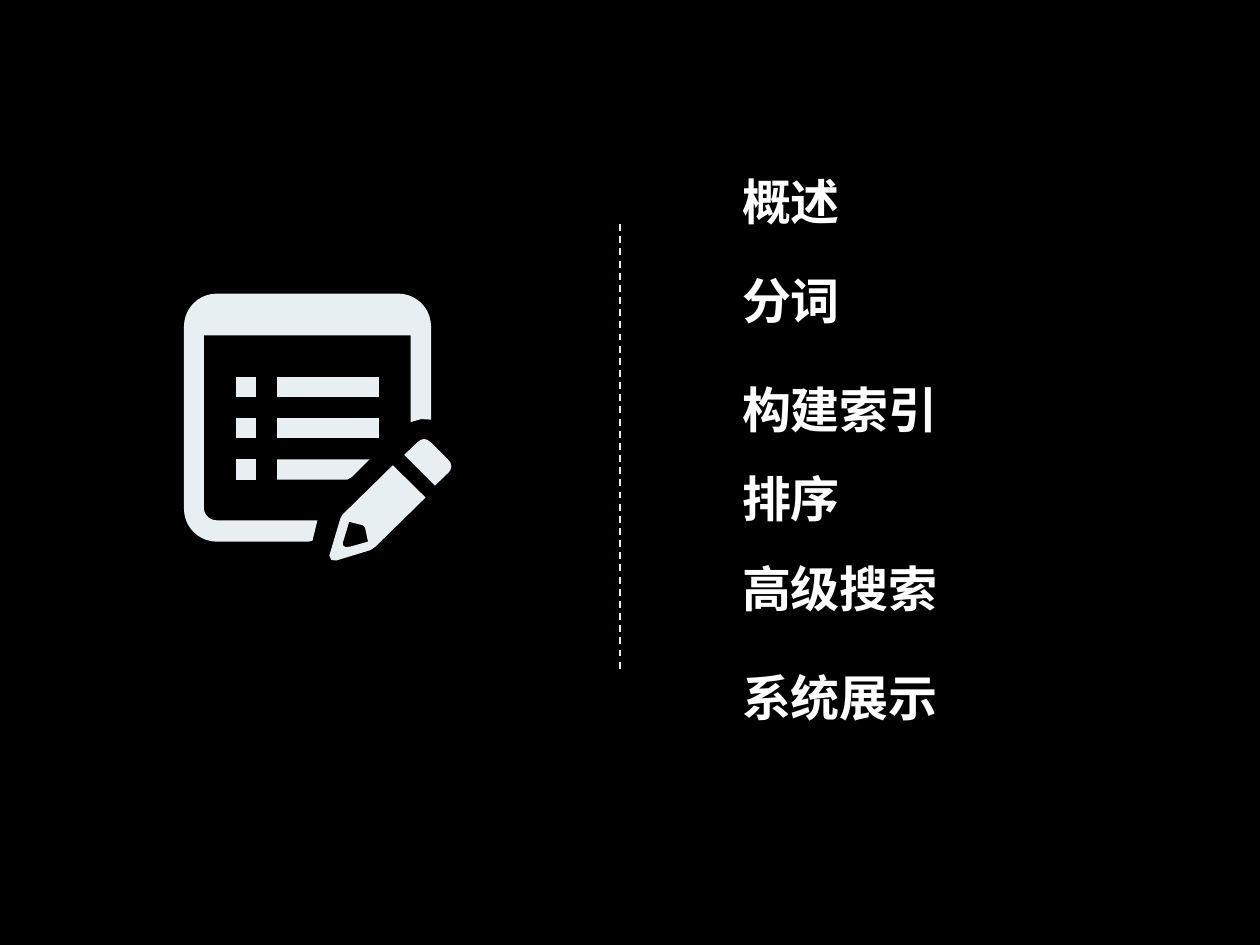
from dataclasses import dataclass
from math import cos, radians, sin

from lxml.etree import SubElement
from pptx import Presentation
from pptx.dml.color import RGBColor as Rgb
from pptx.enum.dml import MSO_LINE as Dash
from pptx.enum.shapes import MSO_CONNECTOR as Link
from pptx.enum.text import MSO_AUTO_SIZE as Fit
from pptx.oxml.ns import qn
from pptx.util import Cm, Pt


@dataclass(frozen=True)
class Theme:
    back: Rgb = Rgb(0, 0, 0)
    icon: Rgb = Rgb(0xE7, 0xEF, 0xF2)
    text: Rgb = Rgb(0xFF, 0xFF, 0xFF)
    font: str = "Noto Sans CJK SC"
    size: Pt = Pt(28)
    rule: Pt = Pt(1)


def put(item, **values):
    for name, value in values.items():
        setattr(item, name, value)


def arc(x, y, radius, start, end, steps=10):
    """Points on a circle about (x, y); angles run clockwise from the right."""
    turns = [radians(start + (end - start) * i / steps) for i in range(steps + 1)]
    return [(x + radius * cos(t), y + radius * sin(t)) for t in turns]


def box(x, y, width, height):
    return [(x, y), (x + width, y), (x + width, y + height), (x, y + height)]


class Page:
    def __init__(self, deck, theme):
        self.theme = theme
        self.slide = deck.slides.add_slide(deck.slide_layouts[6])
        self.shapes = self.slide.shapes
        fill = self.slide.background.fill
        fill.solid()
        fill.fore_color.rgb = theme.back

    def group(self):
        return self.shapes.add_group_shape()

    def form(self, group, *loops):
        """Draw one filled outline; further loops cut holes in it."""
        first, *holes = [[(Cm(x), Cm(y)) for x, y in loop] for loop in loops]
        pen = group.shapes.build_freeform(*first[0])
        pen.add_line_segments(first[1:])
        for hole in holes:
            pen.move_to(*hole[0])
            pen.add_line_segments(hole[1:])
        shape = pen.convert_to_shape()
        shape.shadow.inherit = False
        shape.fill.solid()
        shape.fill.fore_color.rgb = self.theme.icon
        shape.line.fill.background()

    def line(self, x, top, end):
        rule = self.shapes.add_connector(Link.STRAIGHT, Cm(x), Cm(top), Cm(x), Cm(end))
        rule.line.color.rgb = self.theme.icon
        put(rule.line, width=self.theme.rule, dash_style=Dash.DASH)
        SubElement(rule._element.spPr, qn("a:effectLst"))

    def label(self, text, x, y, width, height):
        area = self.shapes.add_textbox(Cm(x), Cm(y), Cm(width), Cm(height))
        frame = area.text_frame
        put(frame, word_wrap=True, auto_size=Fit.SHAPE_TO_FIT_TEXT)
        run = frame.paragraphs[0].add_run()
        run.text = text
        put(run.font, name=self.theme.font, size=self.theme.size, bold=True)
        run.font.color.rgb = self.theme.text
        SubElement(run._r.get_or_add_rPr(), qn("a:ea"), typeface=self.theme.font)


def draw_icon(page):
    icon = page.group()
    page.form(icon, [
        (6.4, 10.49), (6.3, 10.9), (6.22, 10.92),
        *arc(4.37, 10.26, 0.66, 90, 180),
        *arc(4.37, 6.58, 0.66, 180, 270),
        *arc(8.03, 6.58, 0.66, 270, 360),
        (8.69, 8.46), (8.49, 8.45), (8.28, 8.51), (8.28, 6.76), (4.11, 6.76),
        *arc(4.37, 10.23, 0.26, 180, 90),
    ])

    body = [(7.92, 9.38), (8.58, 10.03), (7.57, 11.02), (7.47, 11.09), (6.78, 11.3),
            (6.68, 11.29), (6.64, 11.2), (6.86, 10.46), (6.9, 10.38)]
    lead = [(7.04, 10.52), (6.91, 10.95), (6.92, 11), (6.97, 11.03), (7.06, 11.02),
            (7.42, 10.92), (7.36, 10.64), (7.32, 10.59)]
    eraser = [(8.15, 9.17), (8.41, 8.92), (8.48, 8.87), (8.55, 8.85), (8.62, 8.87),
              (8.69, 8.92), (9.02, 9.25), (9.08, 9.32), (9.1, 9.4), (9.08, 9.48),
              (9.04, 9.53), (8.77, 9.79)]
    page.form(icon, body, lead)
    page.form(icon, eraser)

    side, left, top, step = 0.41, 5.59, 7.6, 0.83
    for row in range(3):
        y = top + row * step
        page.form(icon, box(4.75, y, side, side))
        if row < 2:
            page.form(icon, box(left, y, 2.06, side))
    page.form(icon, [(left, y), (7.45, y), (7.09, 9.62), (7, y + side), (left, y + side)])


def main():
    deck = Presentation()
    put(deck, slide_width=Cm(25.4), slide_height=Cm(19.05))
    page = Page(deck, Theme())
    draw_icon(page)
    page.line(12.5, 4.52, 13.51)
    topics = [
        ("概述", 3.33, 8.99),
        ("分词", 5.33, 6.81),
        ("构建索引", 7.52, 7.59),
        ("排序", 9.32, 6.81),
        ("高级搜索", 11.13, 8.2),
        ("系统展示", 13.34, 7.19),
    ]
    for text, top, width in topics:
        page.label(text, 14.71, top, width, 1.45)
    deck.save("out.pptx")


if __name__ == "__main__":
    main()
